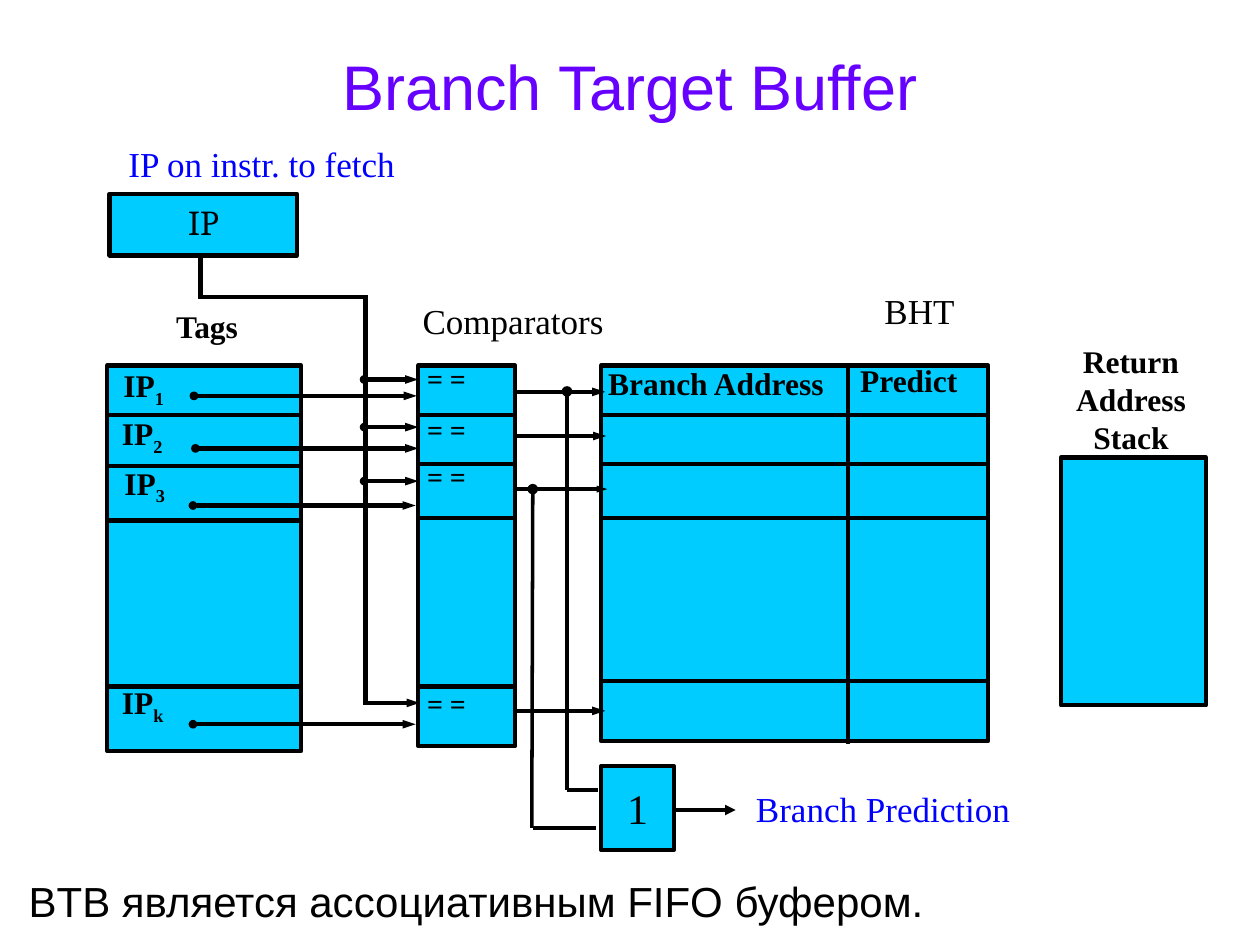
from dataclasses import dataclass

from pptx import Presentation
from pptx.dml.color import RGBColor
from pptx.enum.shapes import MSO_CONNECTOR, MSO_SHAPE
from pptx.enum.text import MSO_ANCHOR, PP_ALIGN
from pptx.oxml.ns import qn
from pptx.slide import Slide
from pptx.text.text import TextFrame
from pptx.util import Cm, Pt
from lxml.etree import SubElement

COLORS = {"fill": "00CCFF", "ink": "000000", "title": "6600FF", "note": "0000FF"}
SERIF = "Times New Roman"


@dataclass
class Label:
    text: str
    left: float
    top: float
    width: float
    height: float
    size: float = 18
    bold: bool = False
    centered: bool = False
    middle: bool = False
    color: str = "ink"
    font: str = SERIF
    subscript: str = ""


@dataclass
class Block:
    left: float
    top: float
    width: float
    height: float
    dividers: tuple[float, ...] = ()
    weight: float = 2.5
    text: str = ""
    size: float = 20
    font: str = SERIF
    anchor: MSO_ANCHOR = MSO_ANCHOR.TOP


@dataclass
class Wire:
    x1: float
    y1: float
    x2: float
    y2: float
    weight: float = 2.5
    dot: str = ""
    arrow: str = ""


def color(name: str) -> RGBColor:
    return RGBColor.from_string(COLORS[name])


def style_text(frame: TextFrame, size: float, font: str, ink: str, bold: bool, centered: bool) -> None:
    for para in frame.paragraphs:
        para.alignment = PP_ALIGN.CENTER if centered else PP_ALIGN.LEFT
        for span in para.runs:
            span.font.size = Pt(size)
            span.font.name = font
            span.font.bold = bold
            span.font.color.rgb = color(ink)


def draw_label(page: Slide, label: Label) -> None:
    box = page.shapes.add_textbox(Cm(label.left), Cm(label.top), Cm(label.width), Cm(label.height))
    frame = box.text_frame
    frame.word_wrap = True
    frame.vertical_anchor = MSO_ANCHOR.MIDDLE if label.middle else MSO_ANCHOR.TOP
    frame.text = label.text
    if label.subscript:
        span = frame.paragraphs[0].add_run()
        span.text = label.subscript
        span.font._element.set("baseline", "-25000")
    style_text(frame, label.size, label.font, label.color, label.bold, label.centered)


def draw_wire(page: Slide, wire: Wire) -> None:
    line = page.shapes.add_connector(
        MSO_CONNECTOR.STRAIGHT, Cm(wire.x1), Cm(wire.y1), Cm(wire.x2), Cm(wire.y2))
    line.line.width = Pt(wire.weight)
    line.line.color.rgb = color("ink")
    outline = line.line._get_or_add_ln()
    if wire.dot:
        SubElement(outline, qn("a:headEnd"), type="oval", w=wire.dot, len=wire.dot)
    if wire.arrow:
        SubElement(outline, qn("a:tailEnd"), type="triangle", w=wire.arrow, len="med")
    SubElement(line._element.spPr, qn("a:effectLst"))


def draw_block(page: Slide, block: Block) -> None:
    box = page.shapes.add_shape(
        MSO_SHAPE.RECTANGLE, Cm(block.left), Cm(block.top), Cm(block.width), Cm(block.height))
    box.shadow.inherit = False
    box.fill.solid()
    box.fill.fore_color.rgb = color("fill")
    box.line.color.rgb = color("ink")
    box.line.width = Pt(block.weight)
    if block.text:
        box.text_frame.text = block.text
        box.text_frame.vertical_anchor = block.anchor
        style_text(box.text_frame, block.size, block.font, "ink", False, True)
    for y in block.dividers:
        draw_wire(page, Wire(block.left, y, block.left + block.width, y))


BLOCKS = [
    Block(2.16, 7.37, 3.91, 7.77, (8.36, 9.4, 10.49, 13.84)),
    Block(8.43, 7.37, 1.96, 7.67, (8.36, 9.35, 10.44, 13.84)),
    Block(12.12, 7.37, 7.8, 7.57, (8.36, 9.35, 10.44, 13.73)),
    Block(21.39, 9.22, 2.92, 5),
    Block(2.21, 3.91, 3.78, 1.24, text="IP", font="Cambria"),
    Block(12.12, 15.44, 1.47, 1.7, weight=2, text="1", size=24, anchor=MSO_ANCHOR.MIDDLE),
]

PREDICT_COLUMN = Wire(17.09, 7.37, 17.09, 14.99)
IP_BUS = [
    Wire(4.04, 5.16, 4.04, 5.99),
    Wire(3.99, 5.99, 7.42, 5.99),
    Wire(7.37, 5.99, 7.37, 14.22),
    Wire(7.37, 14.17, 8.46, 14.17, arrow="sm"),
]
BUS_TAPS = [Wire(7.34, y, 8.43, y, dot="sm", arrow="sm") for y in (7.65, 8.61, 9.7)]
TAG_WIRES = [
    Wire(x, y, x + 4.49, y, dot="sm", arrow="sm")
    for x, y in ((3.91, 7.98), (3.94, 9.04), (3.89, 10.19), (3.89, 14.6))
]
MATCH_WIRES = [
    Wire(x, y, x + 1.84, y, weight, arrow="sm")
    for x, y, weight in ((10.36, 7.9, 2.5), (10.38, 8.79, 2.5), (10.4, 9.86, 2), (10.36, 14.33, 2.5))
]
PREDICTION_WIRES = [
    Wire(11.43, 7.89, 11.43, 15.93, 2, dot="med"),
    Wire(11.43, 15.93, 12.06, 15.93, 2),
    Wire(10.74, 9.86, 10.72, 16.69, 2, dot="med"),
    Wire(10.74, 16.69, 12.01, 16.69, 2),
    Wire(13.56, 16.33, 14.83, 16.33, 2, arrow="med"),
]
WIRES = [PREDICT_COLUMN, *IP_BUS, *BUS_TAPS, *TAG_WIRES, *MATCH_WIRES, *PREDICTION_WIRES]

TAG_LABELS = [
    Label("IP", x, y, 1.96, 1.52, bold=True, subscript=index)
    for index, x, y in (("1", 2.24, 7.26), ("2", 2.21, 8.23), ("3", 2.26, 9.22), ("k", 2.21, 13.64))
]
EQUAL_LABELS = [
    Label("= =", 8.36, y, 1.96, 1.24, size=16, bold=True) for y in (7.16, 8.2, 9.14, 13.72)
]
LABELS = [
    Label("Branch Target Buffer", 1.27, 0.13, 22.86, 3.18, size=36, centered=True, middle=True,
          color="title", font="Arial"),
    Label("Comparators", 7.54, 5.92, 5.61, 1.24, size=20, centered=True),
    Label("Tags", 2.13, 6.07, 4.09, 1.24, bold=True, centered=True),
    *TAG_LABELS,
    *EQUAL_LABELS,
    Label("Branch Address", 12.01, 7.21, 5.31, 1.52, bold=True),
    Label("Return Address\vStack", 21.16, 6.78, 3.28, 1.65, bold=True, centered=True),
    Label("Predict", 17.09, 7.16, 3.4, 1.52, bold=True),
    Label("BHT", 17.58, 5.72, 2.36, 1.12, size=20),
    Label("IP on instr. to fetch", 2.34, 2.74, 6.55, 1.12, size=20, color="note"),
    Label("Branch Prediction", 14.99, 15.75, 6.55, 1.12, size=20, color="note"),
    Label("BTB является ассоциативным FIFO буфером.", 0.33, 17.53, 24.56, 1.27, size=24, font="Arial"),
]


def main() -> None:
    deck = Presentation()
    deck.slide_width, deck.slide_height = Cm(25.4), Cm(19.05)
    page = deck.slides.add_slide(deck.slide_layouts[6])
    for block in BLOCKS:
        draw_block(page, block)
    for wire in WIRES:
        draw_wire(page, wire)
    for label in LABELS:
        draw_label(page, label)
    deck.save("out.pptx")


if __name__ == "__main__":
    main()
